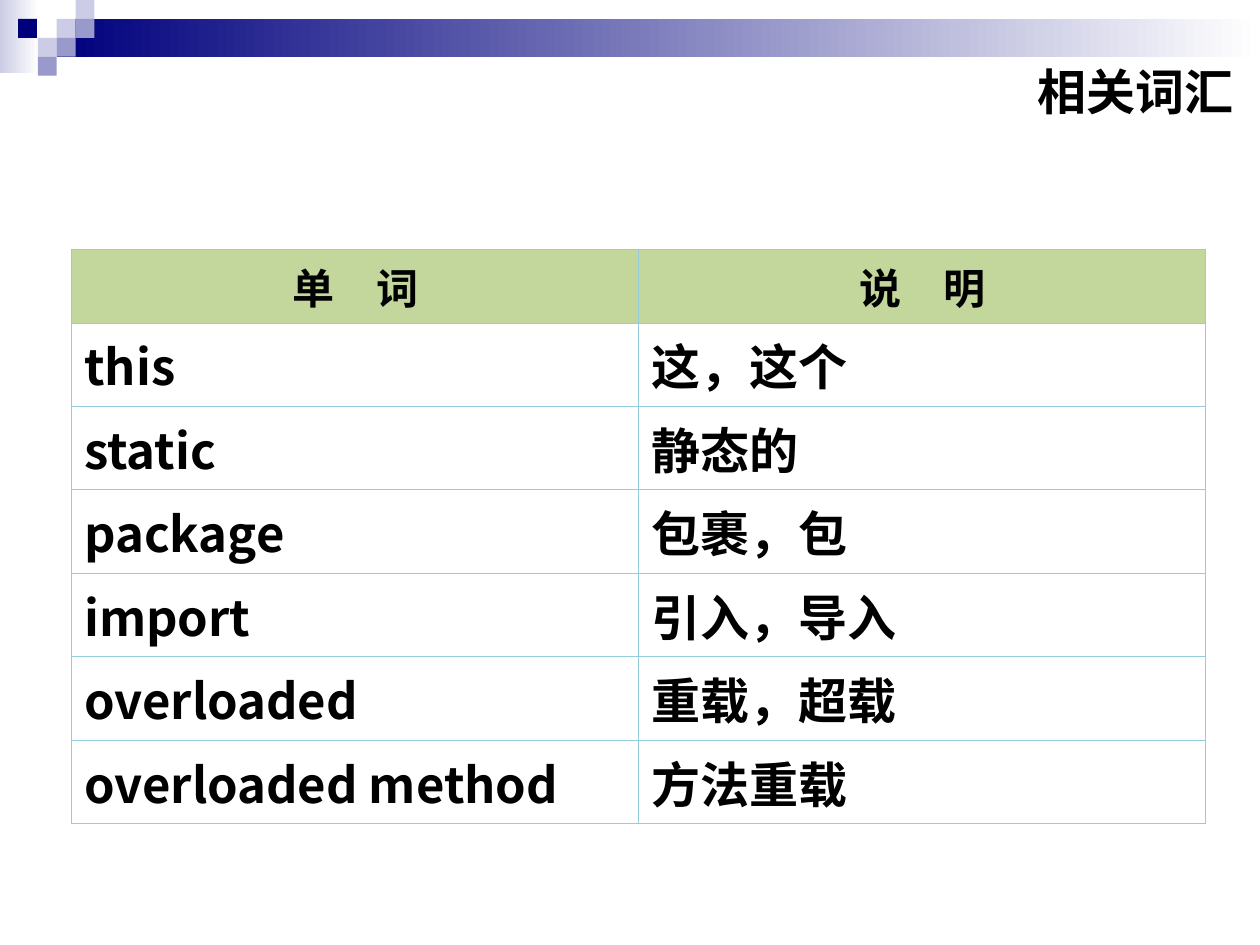
from lxml import etree
from pptx import Presentation
from pptx.dml.color import RGBColor
from pptx.enum.shapes import MSO_SHAPE
from pptx.enum.text import MSO_ANCHOR, PP_ALIGN
from pptx.oxml.ns import qn
from pptx.util import Pt

RECTANGLE = MSO_SHAPE.RECTANGLE
MIDDLE = MSO_ANCHOR.MIDDLE
LEFT, CENTER, RIGHT = PP_ALIGN.LEFT, PP_ALIGN.CENTER, PP_ALIGN.RIGHT

TITLE = "相关词汇"
HEADERS = ("单　词", "说　明")
VOCABULARY = [
    ("this", "这，这个"),
    ("static", "静态的"),
    ("package", "包裹，包"),
    ("import", "引入，导入"),
    ("overloaded", "重载，超载"),
    ("overloaded method", "方法重载"),
]

THEME = {
    "font": "Noto Sans CJK SC",
    "text": "000000",
    "navy": "00007D",
    "mid": "9999CC",
    "pale": "CCCCE6",
    "white": "FFFFFF",
    "header": "C3D69B",
    "border": "93CDDD",
    "title_size": 28,
    "header_size": 24,
    "body_size": 28,
    "outer_line": 0.75,
    "inner_line": 0.45,
}

# Left, top, width, height and starting colour of each band fading to white
BANDS = [(0, 0, 22.3, 41.8, "pale"), (32.4, 10.8, 687.6, 21.6, "navy")]
# Column, row and colour of each small square
SQUARE = 10.8
SQUARE_LEFTS = (10.3, 21.6, 32.4, 43.2)
SQUARES = [
    (2, 1, "pale"), (3, 0, "pale"), (3, 1, "mid"), (1, 2, "pale"),
    (0, 1, "navy"), (2, 2, "mid"), (1, 3, "mid"),
]
TITLE_BOX = (342.7, 32.4, 369.4, 39.6)
TABLE_LEFT, TABLE_TOP, COLUMN_WIDTH = 41, 142.5, 324
HEADER_HEIGHT, ROW_HEIGHT = 42, 47.7


def color(name):
    return RGBColor.from_string(THEME[name])


def write(frame, text, size, align=LEFT, space_before=0):
    paragraph = frame.paragraphs[0]
    paragraph.alignment = align
    paragraph.space_before = Pt(space_before)
    run = paragraph.add_run()
    run.text = text
    font = run.font
    font.size = Pt(THEME[size])
    font.bold = True
    font.color.rgb = color("text")
    font.name = THEME["font"]
    # East Asian glyphs take their own typeface entry
    etree.SubElement(run._r.get_or_add_rPr(), qn("a:ea"), typeface=THEME["font"])


def add_block(slide, box, fill, fade=False):
    block = slide.shapes.add_shape(RECTANGLE, *map(Pt, box))
    block.shadow.inherit = False
    block.line.fill.background()
    if fade:
        block.fill.gradient()
        block.fill.gradient_angle = 0
        for stop, name, position in zip(block.fill.gradient_stops, (fill, "white"), (0, 1)):
            stop.color.rgb = color(name)
            stop.position = position
    else:
        block.fill.solid()
        block.fill.fore_color.rgb = color(fill)


def set_borders(cell, outer_sides):
    properties = cell._tc.get_or_add_tcPr()
    for side in "LRTB":
        weight = THEME["outer_line" if side in outer_sides else "inner_line"]
        line = etree.SubElement(properties, qn(f"a:ln{side}"), w=str(int(Pt(weight))))
        fill = etree.SubElement(line, qn("a:solidFill"))
        etree.SubElement(fill, qn("a:srgbClr"), val=THEME["border"])


def add_title(slide):
    title = slide.shapes.title
    title.left, title.top, title.width, title.height = map(Pt, TITLE_BOX)
    title.text_frame.vertical_anchor = MIDDLE
    write(title.text_frame, TITLE, "title_size", align=RIGHT)
    slide.shapes._spTree.append(title._element)  # in front of the bands


def add_vocabulary(slide):
    rows = [HEADERS, *VOCABULARY]
    last_row, last_column = len(rows) - 1, len(HEADERS) - 1
    table = slide.shapes.add_table(
        len(rows), len(HEADERS), Pt(TABLE_LEFT), Pt(TABLE_TOP),
        Pt(COLUMN_WIDTH * len(HEADERS)), Pt(HEADER_HEIGHT + ROW_HEIGHT * last_row),
    ).table
    table.horz_banding = False
    for column in table.columns:
        column.width = Pt(COLUMN_WIDTH)
    for r, words in enumerate(rows):
        table.rows[r].height = Pt(ROW_HEIGHT if r else HEADER_HEIGHT)
        for c, word in enumerate(words):
            cell = table.cell(r, c)
            cell.vertical_anchor = MIDDLE
            edges = {"L": c == 0, "R": c == last_column, "T": r == 0, "B": r == last_row}
            set_borders(cell, [side for side, is_outer in edges.items() if is_outer])
            if r:
                cell.fill.background()
                write(cell.text_frame, word, "body_size", space_before=7)
            else:
                cell.fill.solid()
                cell.fill.fore_color.rgb = color("header")
                write(cell.text_frame, word, "header_size", align=CENTER)


def main():
    deck = Presentation()
    deck.slide_width, deck.slide_height = Pt(720), Pt(540)
    slide = deck.slides.add_slide(deck.slide_layouts.get_by_name("Title Only"))
    for *box, fill in BANDS:
        add_block(slide, box, fill, fade=True)
    for column, row, fill in SQUARES:
        add_block(slide, (SQUARE_LEFTS[column], row * SQUARE, SQUARE, SQUARE), fill)
    add_title(slide)
    add_vocabulary(slide)
    deck.save("out.pptx")


if __name__ == "__main__":
    main()
